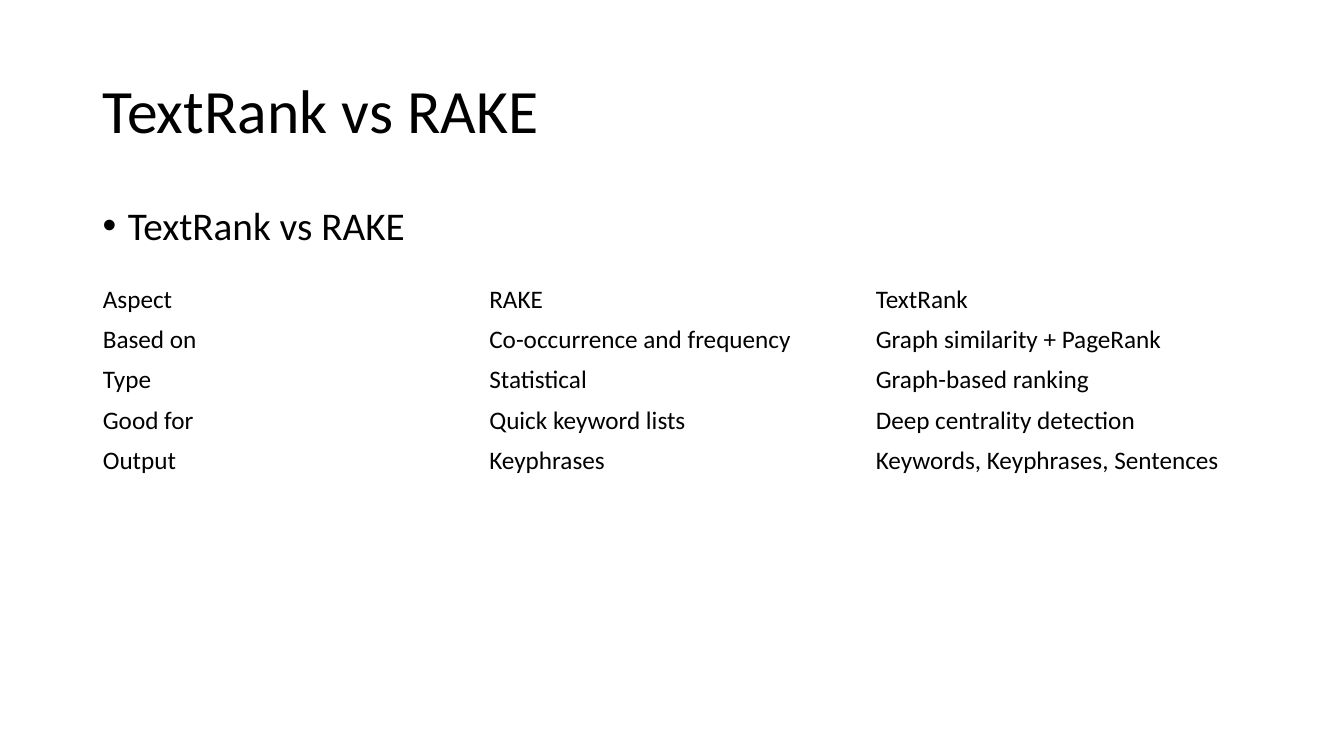
from lxml.etree import SubElement
from pptx import Presentation
from pptx.dml.color import RGBColor as Rgb
from pptx.enum.text import MSO_ANCHOR as Anchor
from pptx.oxml.ns import qn
from pptx.util import Inches, Pt

COLORS = {"text": "000000", "back": "FFFFFF"}
FONT = "Calibri"
ROWS = [
    ("Aspect", "RAKE", "TextRank"),
    ("Based on", "Co-occurrence and frequency", "Graph similarity + PageRank"),
    ("Type", "Statistical", "Graph-based ranking"),
    ("Good for", "Quick keyword lists", "Deep centrality detection"),
    ("Output", "Keyphrases", "Keywords, Keyphrases, Sentences"),
]


def style(para, size):
    """Set the font of a paragraph."""
    font = para.font
    font.name, font.size = FONT, Pt(size)
    font.color.rgb = Rgb.from_string(COLORS["text"])


def add_text(slide, box, text, size, anchor):
    """Place one line of text in a box and return its paragraph."""
    frame = slide.shapes.add_textbox(*map(Inches, box)).text_frame
    frame.word_wrap = True
    frame.vertical_anchor = anchor
    para = frame.paragraphs[0]
    para.text = text
    para.line_spacing = 0.9
    style(para, size)
    return para


def add_title(slide, box, text):
    """Place the title, centred vertically in its box."""
    add_text(slide, box, text, 44, Anchor.MIDDLE)


def add_bullet(slide, box, text):
    """Place a bulleted line at the top of its box."""
    para = add_text(slide, box, text, 28, Anchor.TOP)
    para.space_before = Pt(10)
    props = para._p.get_or_add_pPr()
    props.set("marL", str(Inches(0.25)))
    props.set("indent", str(Inches(-0.25)))
    SubElement(props, qn("a:buFont"), typeface="Arial")
    SubElement(props, qn("a:buChar"), char="•")


def add_grid(slide, box, rows):
    """Place a plain table with equal columns and rows."""
    size = len(rows), len(rows[0])
    table = slide.shapes.add_table(*size, *map(Inches, box)).table
    table.first_row = table.horz_banding = False
    for r, row in enumerate(rows):
        for c, text in enumerate(row):
            cell = table.cell(r, c)
            cell.fill.background()
            cell.vertical_anchor = Anchor.MIDDLE
            cell.text = text
            style(cell.text_frame.paragraphs[0], 18)


def main():
    """Build the slide and save it."""
    deck = Presentation()
    deck.slide_width, deck.slide_height = Inches(13.33), Inches(7.5)
    slide = deck.slides.add_slide(deck.slide_layouts[6])
    fill = slide.background.fill
    fill.solid()
    fill.fore_color.rgb = Rgb.from_string(COLORS["back"])
    left, width = 0.92, 11.5
    add_title(slide, (left, 0.4, width, 1.45), "TextRank vs RAKE")
    add_bullet(slide, (left, 2, width, 4.76), "TextRank vs RAKE")
    add_grid(slide, (left, 2.77, width, 2), ROWS)
    deck.save("out.pptx")


if __name__ == "__main__":
    main()
